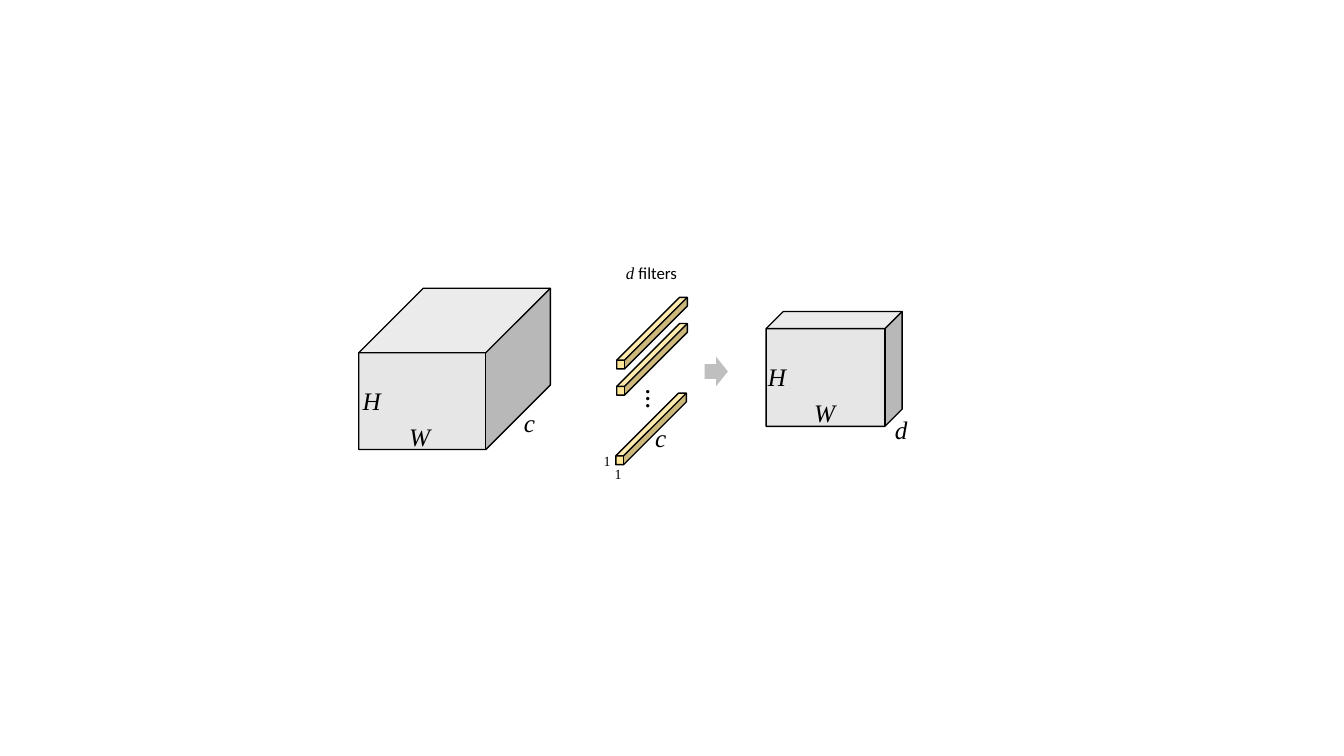
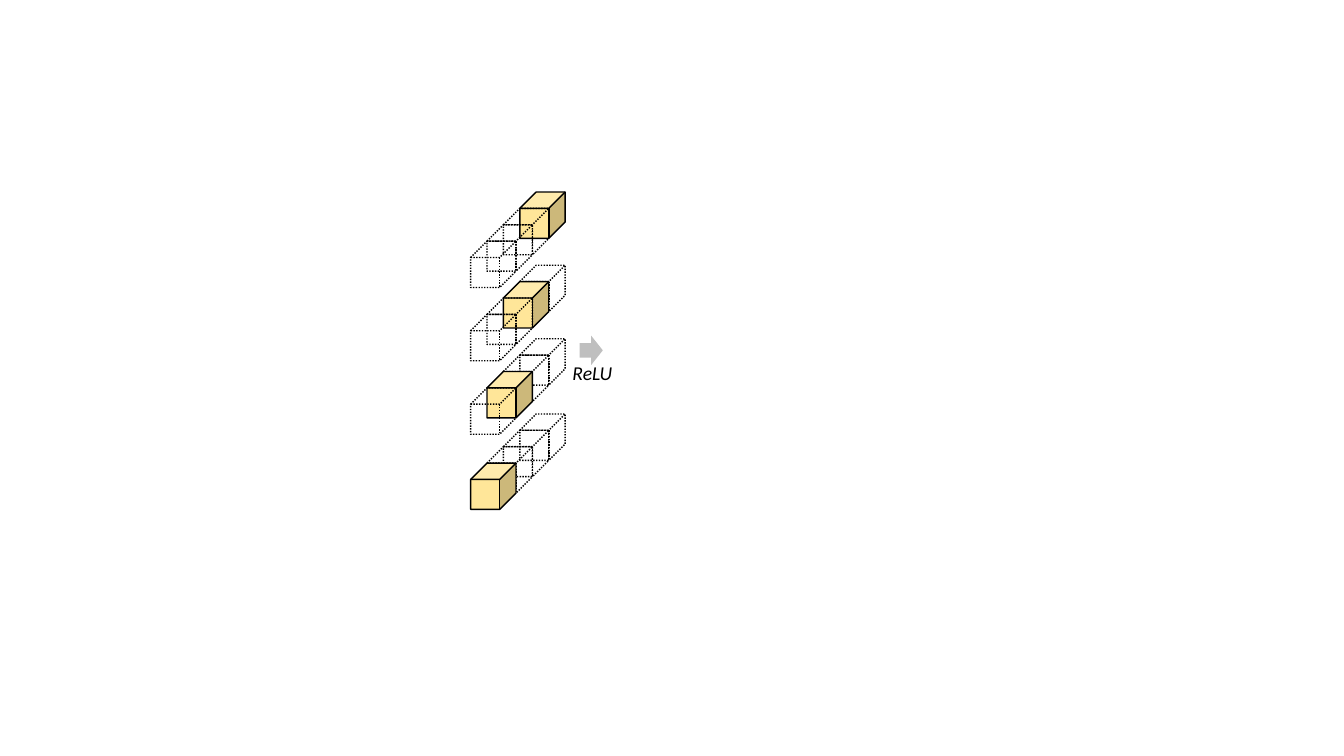
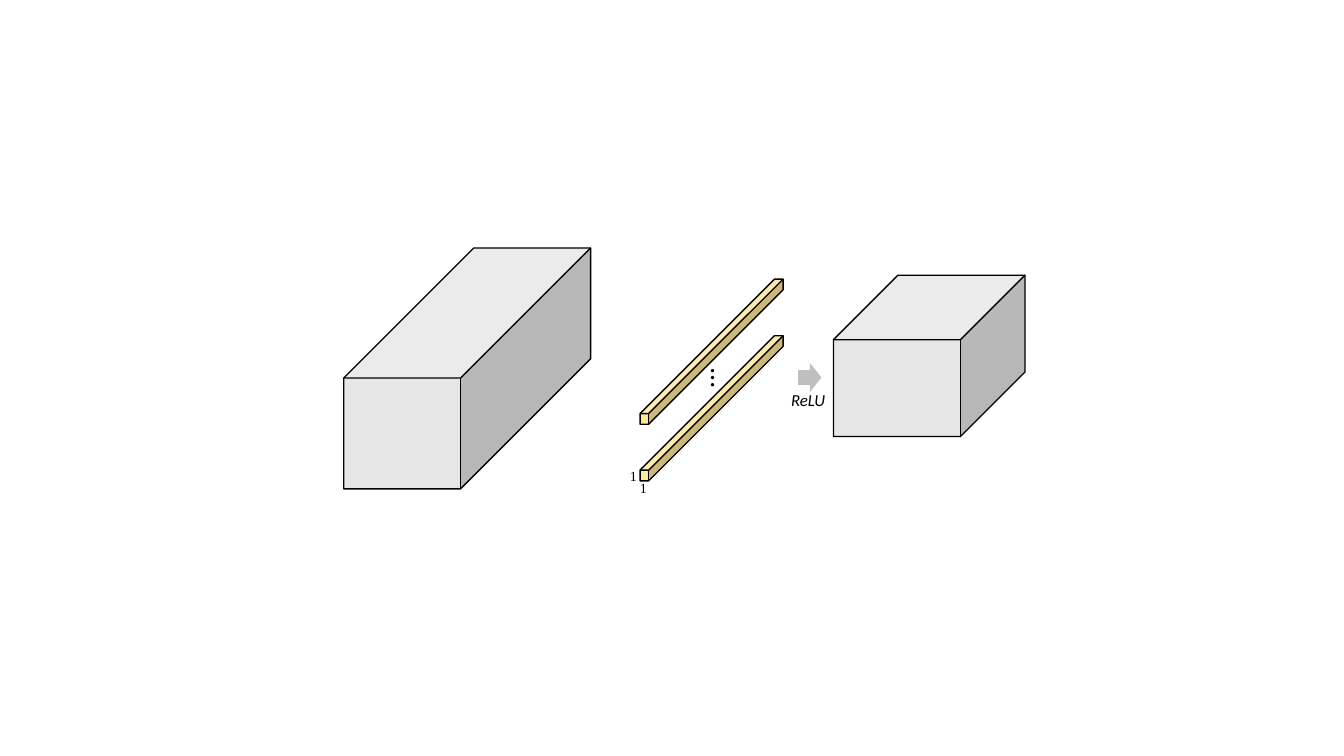
import pptx
import pptx.util
import pptx.dml.color
import pptx.enum.dml
import pptx.enum.shapes
import pptx.enum.text

Pt = pptx.util.Pt
RGBColor = pptx.dml.color.RGBColor
SHAPE = pptx.enum.shapes.MSO_SHAPE

BLACK = RGBColor(0x00, 0x00, 0x00)
TENSOR_GREY = RGBColor(0xE6, 0xE6, 0xE6)
FILTER_YELLOW = RGBColor(0xFF, 0xE6, 0x99)
ARROW_GREY = RGBColor(0xBF, 0xBF, 0xBF)
SERIF = "Times New Roman"
SANS = "Calibri"


def add_shape(s, kind, x, y, w, h, fill):
    sp = s.shapes.add_shape(kind, Pt(x), Pt(y), Pt(w), Pt(h))
    sp.shadow.inherit = False
    if fill is None:
        sp.fill.background()
    else:
        sp.fill.solid()
        sp.fill.fore_color.rgb = fill
    return sp


def add_cube(s, x, y, w, h, depth, fill=None):
    """Draw a solid cube, or a dotted wireframe when no fill is given."""
    sp = add_shape(s, SHAPE.CUBE, x, y, w, h, fill)
    sp.adjustments[0] = depth
    sp.line.color.rgb = BLACK
    sp.line.width = Pt(1)
    if fill is None:
        sp.line.dash_style = pptx.enum.dml.MSO_LINE.ROUND_DOT
    return sp


def add_arrow(s, x, y):
    sp = add_shape(s, SHAPE.RIGHT_ARROW, x, y, 16.6, 20.9, ARROW_GREY)
    sp.line.fill.background()


def add_label(s, text, x, y, w, h, size, font=SERIF, italic=True, wrap=True):
    sp = s.shapes.add_textbox(Pt(x), Pt(y), Pt(w), Pt(h))
    tf = sp.text_frame
    tf.word_wrap = wrap
    tf.auto_size = pptx.enum.text.MSO_AUTO_SIZE.SHAPE_TO_FIT_TEXT
    p = tf.paragraphs[0]
    p.add_run().text = text
    p.font.size = Pt(size)
    p.font.name = font
    p.font.italic = italic
    p.font.color.rgb = BLACK
    return sp


def add_dimension(s, text, x, y, w=28.8):
    add_label(s, text, x, y, w, 28.8, 18)


def add_face_labels(s, x, y):
    """Label the height and width of a tensor's front face."""
    add_dimension(s, "H", x, y)
    add_dimension(s, "W", x + 33.1, y + 25.9)


def add_unit_labels(s, *places):
    for x, y in places:
        add_label(s, "1", x, y, 20.9, 19.4, 10, italic=False)


def add_vertical_dots(s, x, y):
    sp = add_label(s, "…", x, y, 38.9, 31.7, 20, SANS, italic=False)
    sp.rotation = 90


def add_filter_count(s, x, y):
    sp = add_label(s, "d ", x, y, 70.6, 21.6, 12, italic=None)
    p = sp.text_frame.paragraphs[0]
    p.runs[0].font.italic = True
    r = p.add_run()
    r.text = "filters"
    r.font.name = SANS


def pointwise_slide(s):
    add_cube(s, 256.3, 205.9, 136.8, 115.2, 0.4, TENSOR_GREY)
    for x, y in ((440.6, 231.1), (440.6, 212.4), (439.9, 280.8)):
        add_cube(s, x, y, 50.4, 51.1, 0.89, FILTER_YELLOW)
    add_cube(s, 547.2, 222.5, 97.2, 82.1, 0.15, TENSOR_GREY)
    add_arrow(s, 503.3, 254.9)
    add_vertical_dots(s, 450, 275)
    add_face_labels(s, 541.4, 254.2)
    add_face_labels(s, 252, 271.4)
    add_dimension(s, "c", 367.2, 287.3, 23.8)
    add_dimension(s, "d", 632.2, 292.3, 23.8)
    add_filter_count(s, 439.9, 184.3)
    add_dimension(s, "c", 460.8, 298.1, 20.9)
    add_unit_labels(s, (424.1, 319.7), (432, 329))


def channel_slide(s):
    """Draw four channel stacks, each with a different channel kept."""
    step = 11.7
    count = 4
    for kept, top in enumerate((137.2, 189.5, 242, 295.7)):
        for i in range(count):
            fill = FILTER_YELLOW if i == kept else None
            x = 336.2 + step * (count - 1 - i)
            add_cube(s, x, top + step * i, 32.4, 33.1, 0.36, fill)
    add_arrow(s, 414, 239.8)
    add_label(s, "ReLU", 401.8, 254.2, 43.9, 24.5, 14, SANS, wrap=False)


def reduction_slide(s):
    for y in (239.8, 199.4):
        add_cube(s, 457.2, y, 102.2, 103.7, 0.94, FILTER_YELLOW)
    add_arrow(s, 570.2, 259.2)
    add_vertical_dots(s, 496.1, 259.9)
    add_unit_labels(s, (450, 339.1), (442.8, 330.5))
    add_cube(s, 595.4, 196.6, 136.8, 115.2, 0.4, TENSOR_GREY)
    add_label(s, "ReLU", 558, 275, 39.6, 21.6, 12, SANS, wrap=False)
    add_cube(s, 245.5, 177.1, 176.4, 172.1, 0.54, TENSOR_GREY)


def main():
    prs = pptx.Presentation()
    prs.slide_width, prs.slide_height = Pt(960), Pt(540)
    blank = prs.slide_layouts[6]
    for build in (pointwise_slide, channel_slide, reduction_slide):
        build(prs.slides.add_slide(blank))
    prs.save("out.pptx")


if __name__ == "__main__":
    main()
